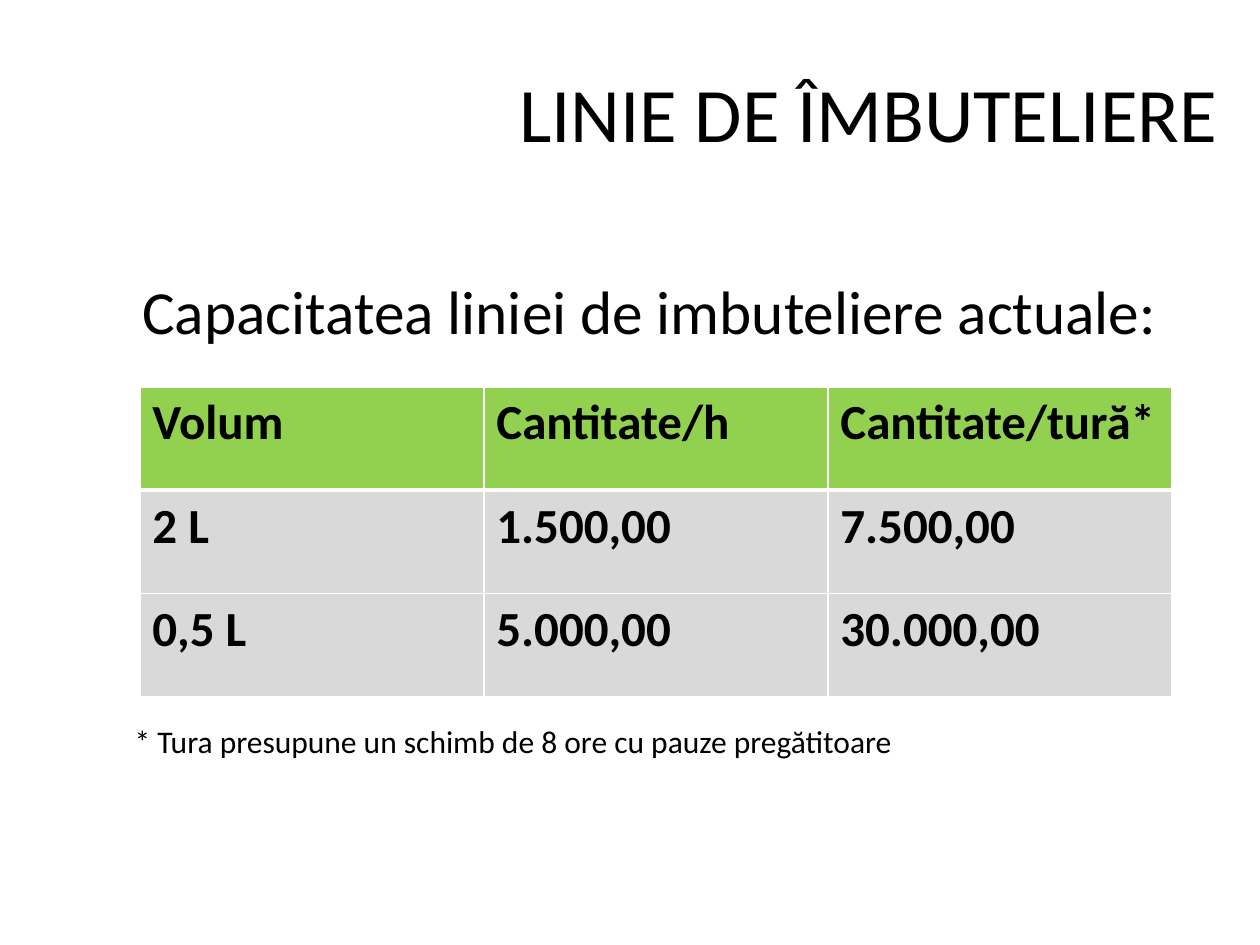
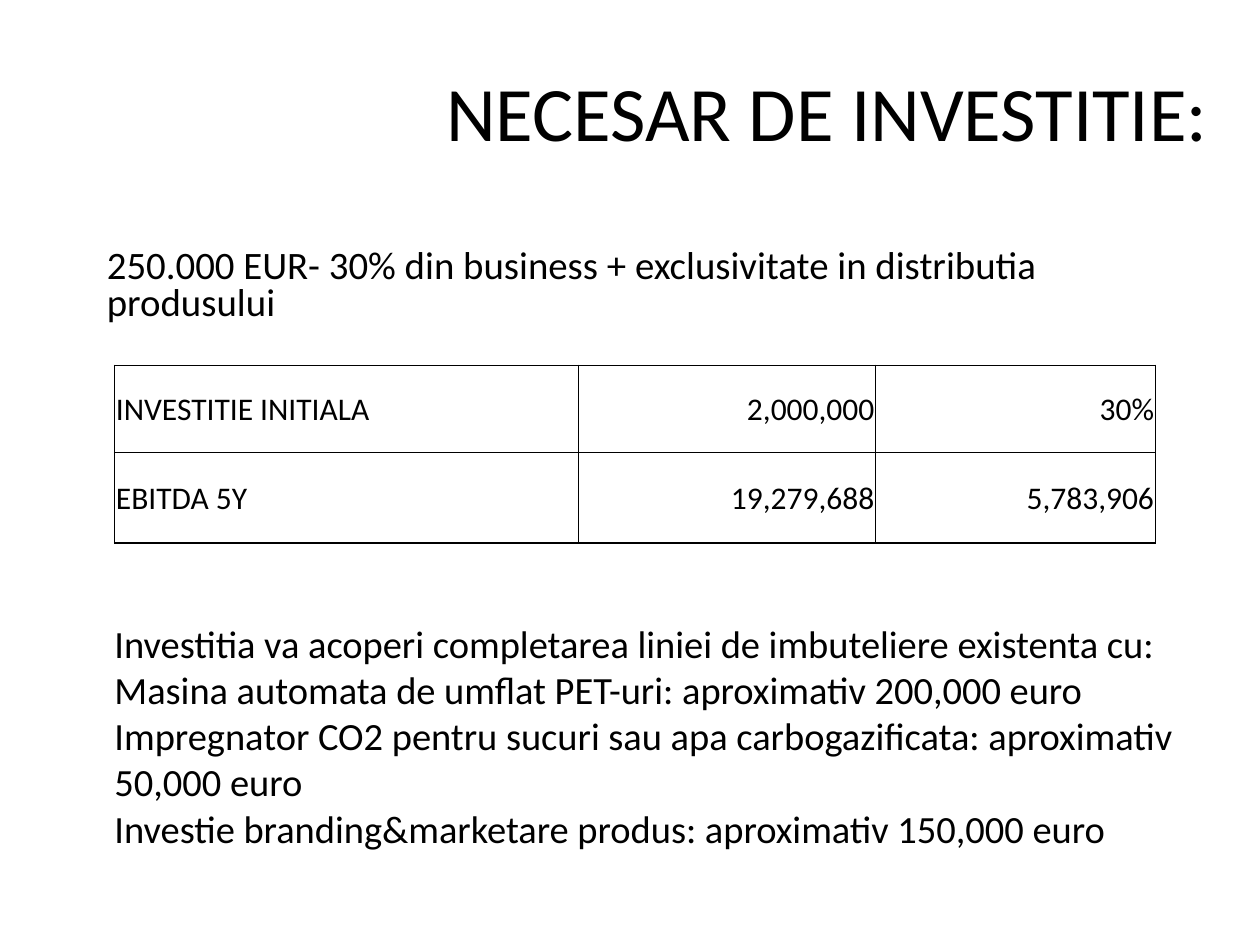
from dataclasses import dataclass

from lxml.etree import SubElement
from pptx import Presentation
from pptx.dml.color import RGBColor
from pptx.enum.text import MSO_ANCHOR, PP_ALIGN
from pptx.oxml.ns import qn
from pptx.util import Inches, Pt


@dataclass(frozen=True)
class Theme:
    font: str = "Calibri"
    ink: str = "000000"
    white: str = "FFFFFF"
    header: str = "92D050"
    body: str = "D9D9D9"
    title_size: float = 44
    lead_size: float = 35
    capacity_size: float = 28
    offer_size: float = 22.2
    list_size: float = 22
    small_size: float = 18


THEME = Theme()


def style_paragraph(para, size, bold=False, align=PP_ALIGN.LEFT):
    para.alignment = align
    para.font.name = THEME.font
    para.font.size = Pt(size)
    para.font.bold = bold
    para.font.color.rgb = RGBColor.from_string(THEME.ink)


def place(shape, left, top, width, height):
    shape.left, shape.top = Inches(left), Inches(top)
    shape.width, shape.height = Inches(width), Inches(height)


def add_titled_page(deck, text, area, align):
    page = deck.slides.add_slide(deck.slide_layouts[5])
    title = page.shapes.title
    place(title, *area)
    title.text_frame.text = text
    title.text_frame.vertical_anchor = MSO_ANCHOR.MIDDLE
    para = title.text_frame.paragraphs[0]
    style_paragraph(para, THEME.title_size, align=align)
    para.line_spacing = 0.9
    return page


def add_text(page, lines, area, size, line_spacing=None):
    box = page.shapes.add_textbox(*map(Inches, area))
    box.text_frame.word_wrap = True
    box.text_frame.text = "\n".join(lines)
    for para in box.text_frame.paragraphs:
        style_paragraph(para, size)
        para.line_spacing = line_spacing


def set_borders(cell, color, widths):
    properties = cell._tc.get_or_add_tcPr()
    for side, width in zip("LRTB", widths):
        line = SubElement(properties, qn(f"a:ln{side}"), w=str(Pt(width)))
        fill = SubElement(line, qn("a:solidFill"))
        SubElement(fill, qn("a:srgbClr"), val=color)


def add_grid(page, rows, left, top, column_widths, row_heights):
    frame = page.shapes.add_table(
        len(rows), len(column_widths), Inches(left), Inches(top),
        Inches(sum(column_widths)), Inches(sum(row_heights)))
    table = frame.table
    table.first_row = table.horz_banding = False
    for column, width in zip(table.columns, column_widths):
        column.width = Inches(width)
    for row, height, texts in zip(table.rows, row_heights, rows):
        row.height = Inches(height)
        for cell, text in zip(row.cells, texts):
            cell.text = text
    return table


def add_capacity_table(page):
    rows = [
        ("Volum", "Cantitate/h", "Cantitate/tură*"),
        ("2 L", "1.500,00", "7.500,00"),
        ("0,5 L", "5.000,00", "30.000,00"),
    ]
    table = add_grid(page, rows, 1.11, 3.07, [2.73] * 3, [0.82] * 3)
    for index, row in enumerate(table.rows):
        for cell in row.cells:
            style_paragraph(cell.text_frame.paragraphs[0], THEME.capacity_size, bold=True)
            set_borders(cell, THEME.white, (1, 1, 3 if index == 1 else 1, 3 if index == 0 else 1))
            cell.fill.solid()
            cell.fill.fore_color.rgb = RGBColor.from_string(
                THEME.header if index == 0 else THEME.body)


def add_investment_table(page):
    rows = [
        ("INVESTITIE INITIALA", "2,000,000", "30%"),
        ("EBITDA 5Y", "19,279,688", "5,783,906"),
    ]
    table = add_grid(page, rows, 0.91, 2.9, [3.68, 2.36, 2.22], [0.69, 0.72])
    last_row, last_column = len(rows) - 1, len(rows[0]) - 1
    for row_index, row in enumerate(table.rows):
        for column_index, cell in enumerate(row.cells):
            align = PP_ALIGN.RIGHT if column_index else PP_ALIGN.LEFT
            style_paragraph(cell.text_frame.paragraphs[0], THEME.small_size, align=align)
            cell.vertical_anchor = MSO_ANCHOR.MIDDLE
            cell.margin_left = cell.margin_right = cell.margin_top = Inches(0.01)
            cell.margin_bottom = 0
            outer_sides = (column_index == 0, column_index == last_column,
                           row_index == 0, row_index == last_row)
            set_borders(cell, THEME.ink, [1 if outer else 0.5 for outer in outer_sides])
            cell.fill.background()


def add_bottling_page(deck):
    page = add_titled_page(deck, "LINIE DE ÎMBUTELIERE", (3.04, 0.21, 6.73, 1.45), PP_ALIGN.RIGHT)
    add_text(page, ["Capacitatea liniei de imbuteliere actuale:"],
             (1.03, 2.12, 8.59, 0.71), THEME.lead_size)
    add_capacity_table(page)
    add_text(page, ["* Tura presupune un schimb de 8 ore cu pauze pregătitoare"],
             (0.97, 5.68, 6.37, 0.4), THEME.small_size)


def add_investment_page(deck):
    page = add_titled_page(deck, "NECESAR DE INVESTITIE:", (3.44, 0.2, 6.39, 1.45), PP_ALIGN.LEFT)
    add_text(page, ["250.000 EUR- 30% din business + exclusivitate in distributia produsului"],
             (0.75, 1.93, 8.47, 0.69), THEME.offer_size, line_spacing=0.8)
    add_text(page, [
        "Investitia va acoperi completarea liniei de imbuteliere existenta cu:",
        "Masina automata de umflat PET-uri: aproximativ 200,000 euro",
        "Impregnator CO2 pentru sucuri sau apa carbogazificata: aproximativ",
        "50,000 euro",
        "Investie branding&marketare produs: aproximativ 150,000 euro",
    ], (0.81, 4.87, 8.75, 2.63), THEME.list_size)
    add_investment_table(page)


def main():
    deck = Presentation()
    deck.slide_width, deck.slide_height = Inches(10), Inches(7.5)
    add_bottling_page(deck)
    add_investment_page(deck)
    deck.save("out.pptx")


if __name__ == "__main__":
    main()
